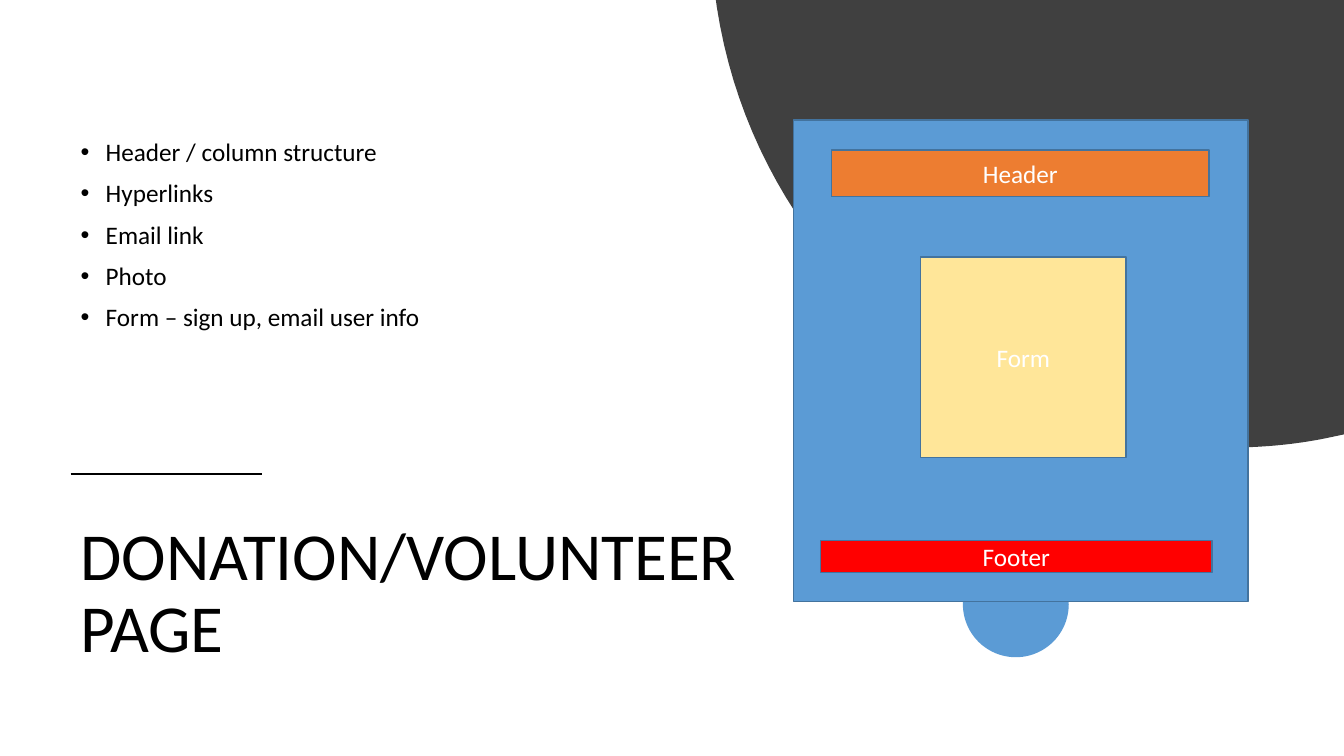
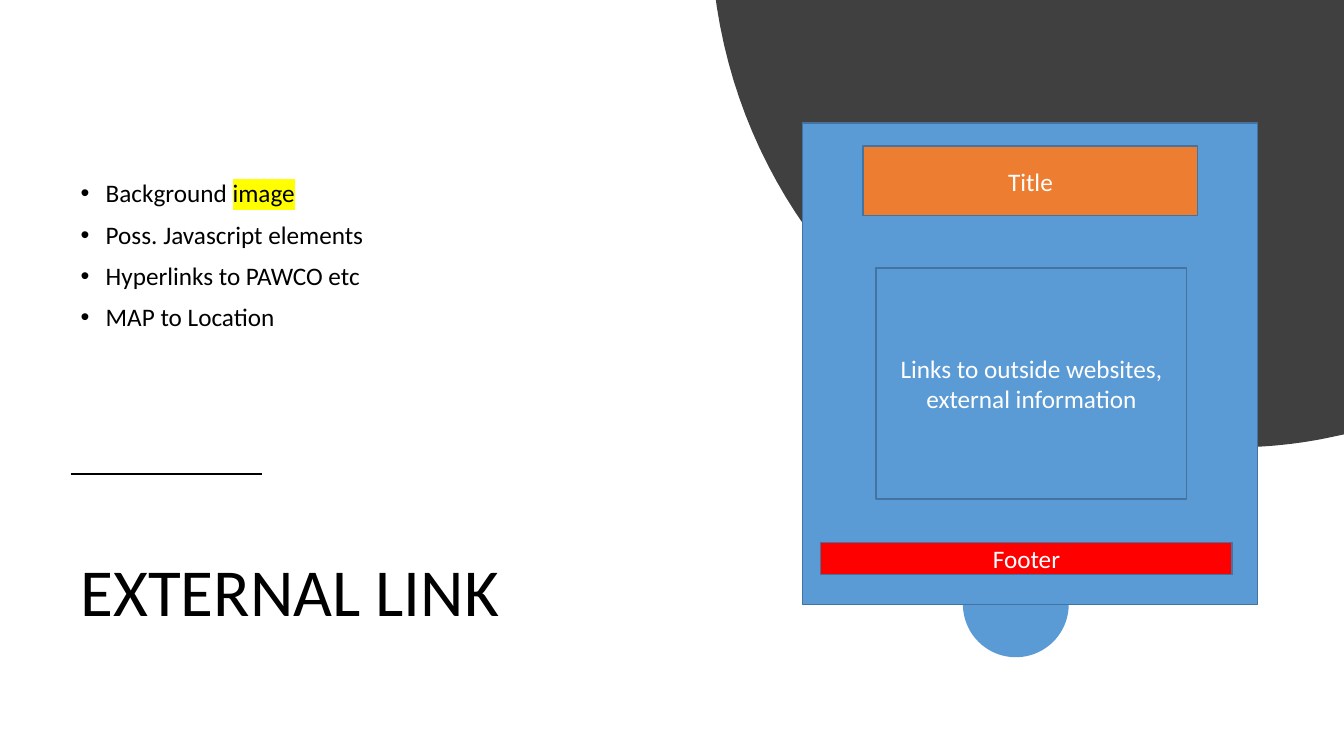
from lxml.etree import SubElement
from pptx import Presentation
from pptx.dml.color import RGBColor
from pptx.enum.shapes import MSO_CONNECTOR as Link, MSO_SHAPE as Kind
from pptx.enum.text import MSO_ANCHOR as Anchor, PP_ALIGN as Align
from pptx.oxml import parse_xml
from pptx.oxml.ns import nsdecls, qn
from pptx.util import Inches, Pt

HUES = {
    "ink": "000000", "white": "FFFFFF", "dark": "404040", "blue": "5B9BD5",
    "edge": "43739E", "orange": "ED7D31", "red": "FF0000", "cream": "FFE699",
    "mark": "FFFF00",
}
FONT = "Calibri"


def hue(name):
    return RGBColor.from_string(HUES[name])


def curve(start, one, two, end, steps=40):
    """Points along a cubic curve, without its start."""
    for i in range(1, steps + 1):
        t = i / steps
        u = 1 - t
        yield tuple(u**3 * a + 3 * u * u * t * b + 3 * u * t * t * c + t**3 * d
                    for a, b, c, d in zip(start, one, two, end))


class Deck:
    def __init__(self):
        self.prs = Presentation()
        self.prs.slide_width = Inches(13.33)
        self.prs.slide_height = Inches(7.5)
        self.slide = None

    # Basic elements
    def paint(self, shape, fill, edge=None):
        shape.shadow.inherit = False
        shape.fill.solid()
        shape.fill.fore_color.rgb = hue(fill)
        if edge:
            shape.line.color.rgb = hue(edge)
            shape.line.width = Pt(1)
        else:
            shape.line.fill.background()

    def run(self, para, text, size=18, color="ink", mark=None):
        run = para.add_run()
        run.text = text
        font = run.font
        font.size, font.name = Pt(size), FONT
        font.color.rgb = hue(color)
        if mark:
            glow = parse_xml(f'<a:highlight {nsdecls("a")}>'
                             f'<a:srgbClr val="{HUES[mark]}"/></a:highlight>')
            font._element.find(qn("a:solidFill")).addnext(glow)

    def frame(self, *box):
        frame = self.slide.shapes.add_textbox(*map(Inches, box)).text_frame
        frame.word_wrap = True
        frame.vertical_anchor = Anchor.MIDDLE
        return frame

    def box(self, place, fill, text=None):
        shape = self.slide.shapes.add_shape(
            Kind.RECTANGLE, *map(Inches, place))
        self.paint(shape, fill, "edge")
        if text:
            frame = shape.text_frame
            frame.word_wrap = True
            frame.vertical_anchor = Anchor.MIDDLE
            para = frame.paragraphs[0]
            para.alignment = Align.CENTER
            self.run(para, text, color="white")

    # Shared backdrop
    def rule(self):
        line = self.slide.shapes.add_connector(
            Link.STRAIGHT, *map(Inches, (0.7, 4.7, 2.6, 4.7)))
        line.line.color.rgb = hue("ink")
        line.line.width = Pt(1.5)
        SubElement(line._element.spPr, qn("a:effectLst"))

    def disc(self):
        shape = self.slide.shapes.add_shape(
            Kind.OVAL, *map(Inches, (9.55, 5.47, 1.05, 1.05)))
        self.paint(shape, "blue")

    def arc(self):
        right, base, left = (13.14, 4.35), (12.2, 4.44), (7.11, 0.07)
        points = [(13.33, 0), (13.33, 4.31), right,
                  *curve(right, (12.84, 4.41), (12.52, 4.44), base),
                  *curve(base, (9.62, 4.44), (7.49, 2.55), left)]
        pen = self.slide.shapes.build_freeform(Inches(7.1), 0)
        pen.add_line_segments([(Inches(x), Inches(y)) for x, y in points])
        self.paint(pen.convert_to_shape(), "dark")

    # Text
    def title(self, text):
        para = self.frame(0.7, 4.95, 8.1, 1.9).paragraphs[0]
        para.line_spacing = 0.9
        self.run(para, text, 48)

    def list(self, items, height):
        frame = self.frame(0.7, 0.65, 6.21, height)
        for i, item in enumerate(items):
            para = frame.add_paragraph() if i else frame.paragraphs[0]
            para.line_spacing = 0.9
            para.space_before = Pt(10)
            props = para._p.get_or_add_pPr()
            props.set("marL", str(Inches(0.25)))
            props.set("indent", str(-Inches(0.25)))
            SubElement(props, qn("a:buFont")).set("typeface", "Arial")
            SubElement(props, qn("a:buChar")).set("char", "•")
            for text, mark in item:
                self.run(para, text, mark=mark)

    # Whole slide
    def page(self, title, items, boxes, height=3.79):
        self.slide = self.prs.slides.add_slide(self.prs.slide_layouts[6])
        self.rule()
        self.disc()
        self.arc()
        self.title(title)
        self.list(items, height)
        for args in boxes:
            self.box(*args)


def main():
    deck = Deck()

    # Donation page
    lines = ["Header / column structure", "Hyperlinks", "Email link", "Photo",
             "Form – sign up, email user info"]
    deck.page("DONATION/VOLUNTEER PAGE", [[(s, None)] for s in lines], [
        ((7.87, 1.19, 4.51, 4.78), "blue"),
        ((8.25, 1.49, 3.74, 0.46), "orange", "Header"),
        ((8.14, 5.36, 3.88, 0.32), "red", "Footer"),
        ((9.13, 2.55, 2.04, 1.99), "cream", "Form"),
    ], height=3.38)

    # External link page
    lines = ["Poss. Javascript elements", "Hyperlinks to PAWCO etc",
             "MAP to Location"]
    first = [("Background ", None), ("image", "mark")]
    deck.page("EXTERNAL LINK", [first] + [[(s, None)] for s in lines], [
        ((7.96, 1.22, 4.51, 4.78), "blue"),
        ((8.56, 1.45, 3.32, 0.69), "orange", "Title"),
        ((8.14, 5.38, 4.08, 0.32), "red", "Footer"),
        ((8.69, 2.66, 3.08, 2.29), "blue",
         "Links to outside websites, external information"),
    ])

    deck.prs.save("out.pptx")


if __name__ == "__main__":
    main()
